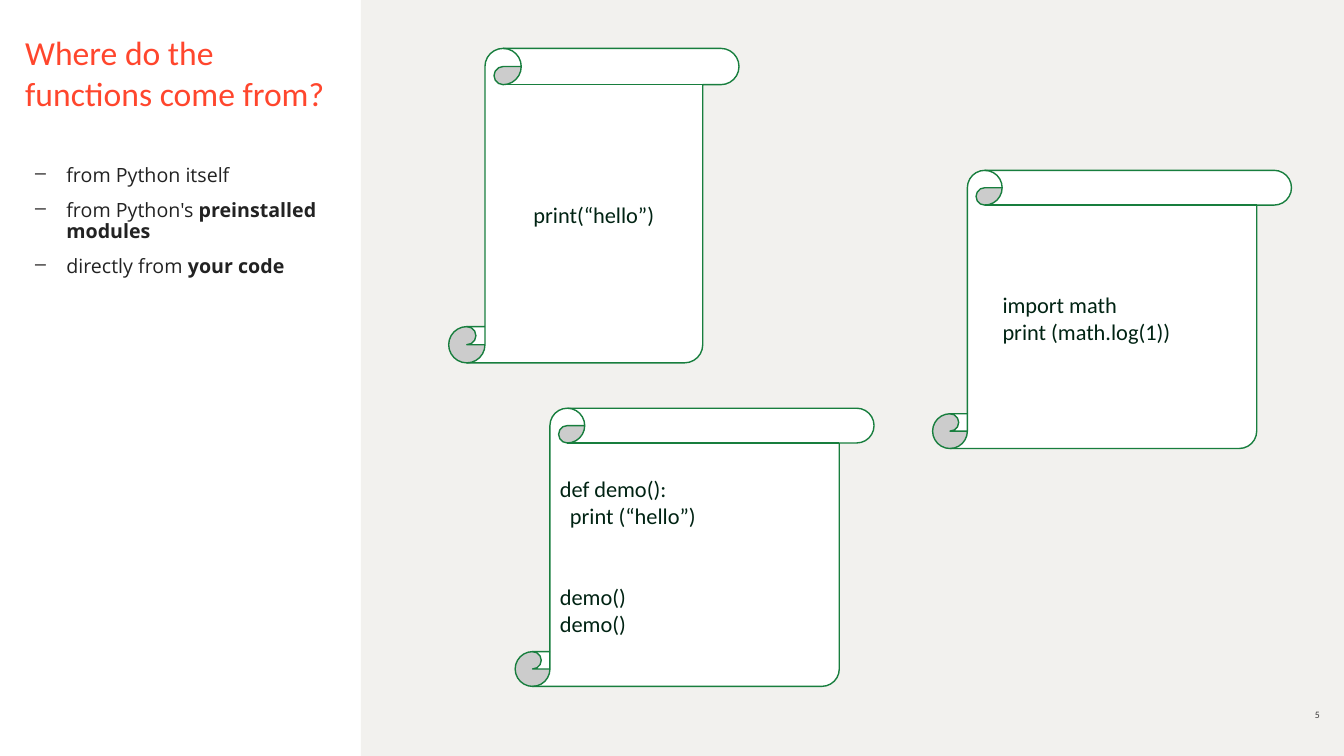
from dataclasses import dataclass
from lxml import etree
from pptx import Presentation
from pptx.dml.color import RGBColor
from pptx.enum.shapes import MSO_SHAPE
from pptx.enum.text import MSO_ANCHOR, PP_ALIGN
from pptx.oxml.ns import qn
from pptx.util import Inches, Pt

RECT, SCROLL = MSO_SHAPE.RECTANGLE, MSO_SHAPE.VERTICAL_SCROLL
TOP, MIDDLE, BOTTOM = MSO_ANCHOR.TOP, MSO_ANCHOR.MIDDLE, MSO_ANCHOR.BOTTOM
LEFT, CENTER, RIGHT = PP_ALIGN.LEFT, PP_ALIGN.CENTER, PP_ALIGN.RIGHT


@dataclass(frozen=True)
class Theme:
    panel: str = "F2F1EE"
    paper: str = "FFFFFF"
    outline: str = "187E3E"
    title: str = "FF462D"
    body: str = "222222"
    muted: str = "3D3B3B"
    code: str = "002313"
    heading_font: str = "Calibri"
    body_font: str = "Open Sans"
    title_size: int = 24
    body_size: int = 14
    code_size: int = 16
    number_size: int = 7


theme = Theme()


def style_run(r, font, size, color, bold=False):
    r.font.name = font
    r.font.size = Pt(size)
    r.font.bold = bold
    r.font.color.rgb = RGBColor.from_string(color)


def add_text_box(s, box, anchor, insets):
    tf = s.shapes.add_textbox(*map(Inches, box)).text_frame
    tf.word_wrap = True
    tf.vertical_anchor = anchor
    tf.margin_left = tf.margin_right = Inches(insets[0])
    tf.margin_top = tf.margin_bottom = Inches(insets[1])
    return tf


prs = Presentation()
prs.slide_width, prs.slide_height = Inches(13.33), Inches(7.5)
s = prs.slides.add_slide(prs.slide_layouts[6])

panel = s.shapes.add_shape(RECT, Inches(3.58), 0, Inches(9.75), Inches(7.5))
panel.shadow.inherit = False
panel.fill.solid()
panel.fill.fore_color.rgb = RGBColor.from_string(theme.panel)
panel.line.fill.background()

labels = [
    ("5", (12.81, 6.91, 0.28, 0.24), BOTTOM, RIGHT, theme.number_size, theme.muted),
    ("Where do the functions come from?", (0.25, 0.32, 3.08, 0.31), TOP, LEFT,
     theme.title_size, theme.title),
]
for text, box, anchor, align, size, color in labels:
    tf = add_text_box(s, box, anchor, (0, 0))
    tf.text = text
    p = tf.paragraphs[0]
    p.alignment = align
    style_run(p.runs[0], theme.heading_font, size, color)

sources = [
    ("from Python itself", ""),
    ("from Python's ", "preinstalled modules"),
    ("directly from ", "your code"),
]
tf = add_text_box(s, (0.25, 1.59, 3.31, 3.69), TOP, (0.1, 0.05))
for i, (plain, strong) in enumerate(sources):
    p = tf.add_paragraph() if i else tf.paragraphs[0]
    p.space_before = Pt(10)
    p.line_spacing = 0.9
    for text, bold in ((plain, False), (strong, True)):
        if text:
            r = p.add_run()
            r.text = text
            style_run(r, theme.body_font, theme.body_size, theme.body, bold)
    pPr = p._p.get_or_add_pPr()
    pPr.set("marL", str(Inches(0.31)))
    pPr.set("indent", str(-Inches(0.31)))
    bullet_color = etree.SubElement(pPr, qn("a:buClr"))
    etree.SubElement(bullet_color, qn("a:srgbClr"), val=theme.muted)
    etree.SubElement(pPr, qn("a:buChar"), char="–")

scrolls = [
    ((4.45, 0.48, 2.88, 3.12), CENTER, [("print(“hello”)", 0, 0)]),
    ((9.25, 1.69, 3.56, 2.76), LEFT,
     [("import math", 0.25, 0), ("print (math.log(1))", 0.25, 0)]),
    ((5.11, 4.05, 3.56, 2.76), LEFT,
     [("def demo():", 0, 0), ("print (“hello”)", 0.1, 0),
      ("demo()", 0, 39), ("demo()", 0, 0)]),
]
for box, align, code in scrolls:
    sp = s.shapes.add_shape(SCROLL, *map(Inches, box))
    sp.shadow.inherit = False
    sp.fill.solid()
    sp.fill.fore_color.rgb = RGBColor.from_string(theme.paper)
    sp.line.color.rgb = RGBColor.from_string(theme.outline)
    sp.line.width = Pt(1)
    tf = sp.text_frame
    tf.word_wrap = True
    tf.vertical_anchor = MIDDLE
    tf.text = "\n".join(text for text, indent, gap in code)
    for p, (text, indent, gap) in zip(tf.paragraphs, code):
        p.alignment = align
        p.space_before = Pt(gap)
        p._p.get_or_add_pPr().set("marL", str(Inches(indent)))
        style_run(p.runs[0], theme.heading_font, theme.code_size, theme.code)

prs.save("out.pptx")
